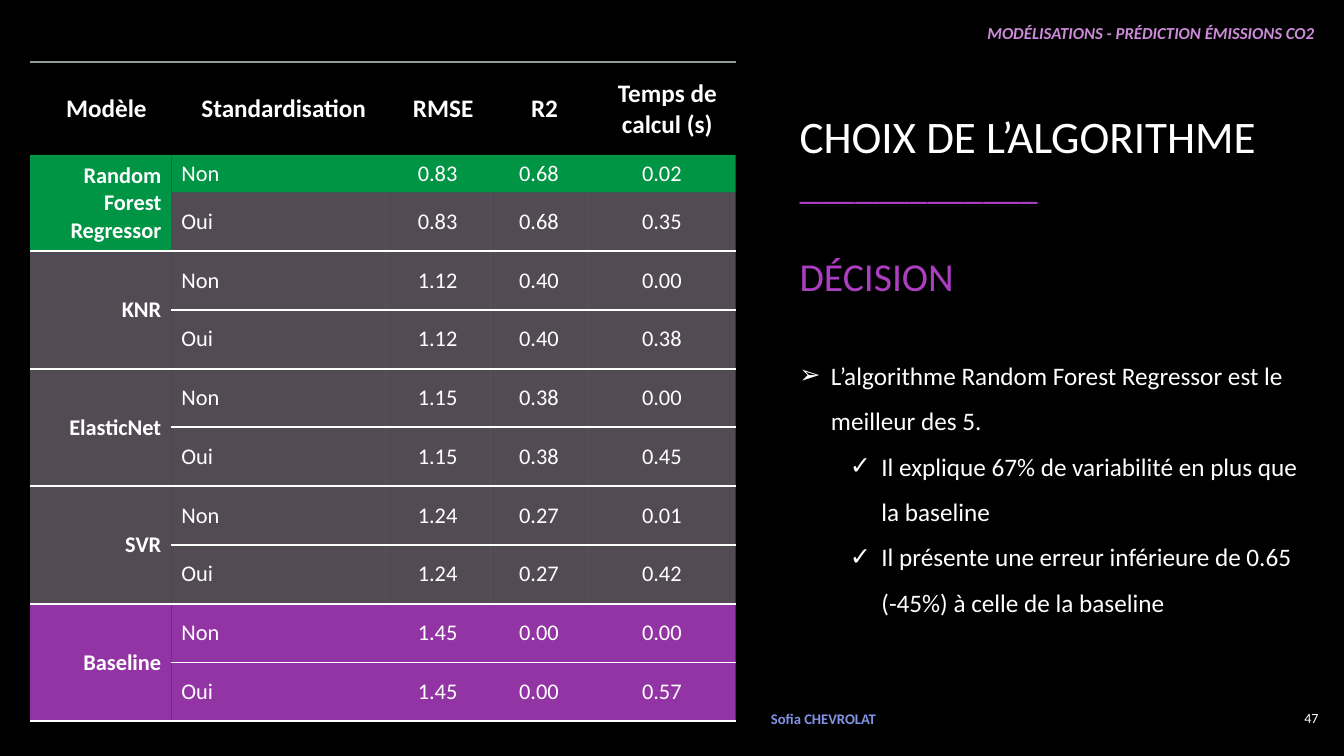
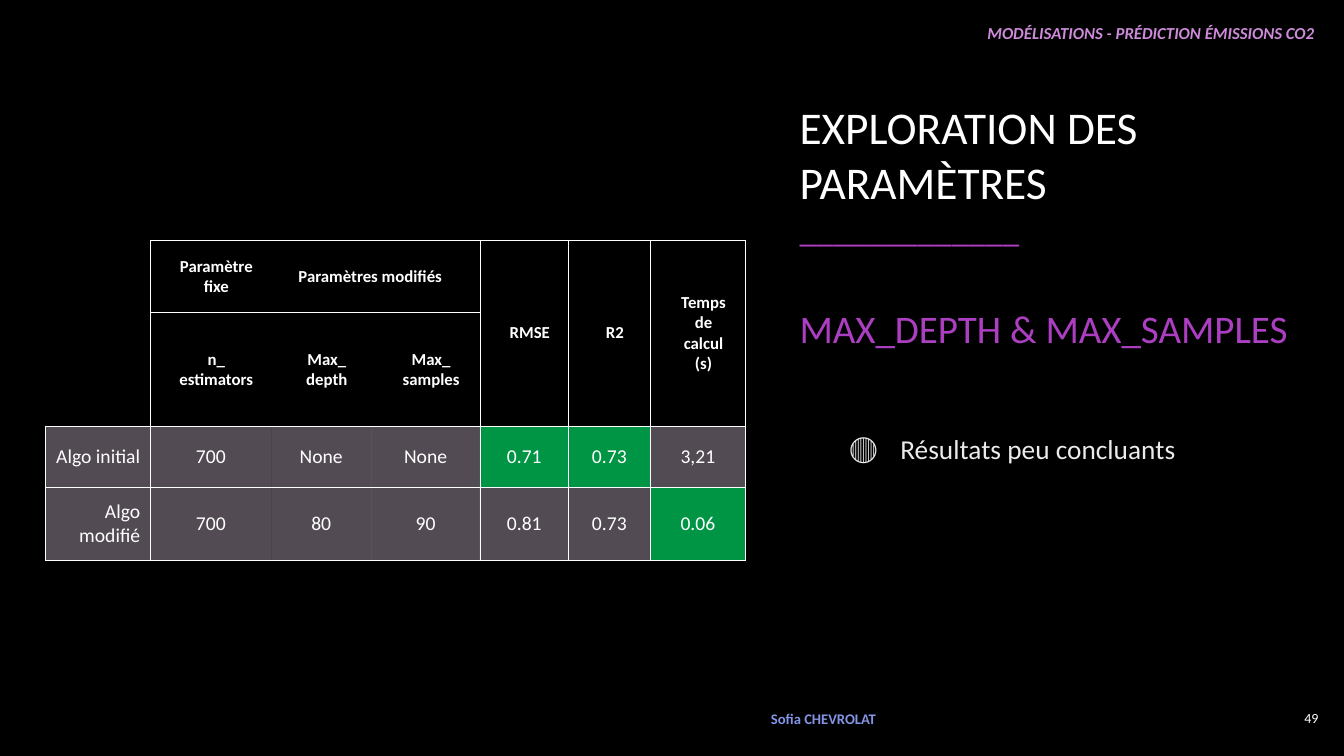
from lxml import etree
from pptx import Presentation
from pptx import util as u
from pptx.dml.color import RGBColor
from pptx.enum import text as t
from pptx.oxml.ns import qn

MODULE = 381000
COLUMNS, ROWS = 32, 18
FONT = "Calibri"
BLACK, WHITE, GREY = "000000", "FFFFFF", "8F9A9D"
PURPLE, LILAC, BLUE, OFF_WHITE = "AC3EC1", "CD8BDA", "8394E4", "EBEBEB"
PLAIN_FILL, GREEN_FILL, PURPLE_FILL = ("EED8F3", 35), ("00B050", 85), (PURPLE, 85)
PLAIN_TABLE = "{2D5ABB26-0587-4C30-8999-92F81FD0307C}"
LEFT, CENTER, RIGHT = t.PP_ALIGN.LEFT, t.PP_ALIGN.CENTER, t.PP_ALIGN.RIGHT
TOP, MIDDLE = t.MSO_ANCHOR.TOP, t.MSO_ANCHOR.MIDDLE
TEXT_LEFT = 18.8


def grid(modules):
    return u.Emu(round(modules * MODULE))


def rgb(color):
    return RGBColor.from_string(color)


def write(frame, content, size=18, color=WHITE, bold=False, italic=False, align=LEFT,
          spacing=None, before=None, bullet=None, indent=0, hanging=0, level=0):
    for line in content.split("\n"):
        paragraph = frame.add_paragraph() if frame.text else frame.paragraphs[0]
        paragraph.alignment = align
        paragraph.level = level
        if bullet:
            properties = paragraph._p.get_or_add_pPr()
            properties.set("marL", str(grid(indent)))
            properties.set("indent", str(-grid(hanging)))
            etree.SubElement(properties, qn("a:buFont")).set("typeface", FONT)
            etree.SubElement(properties, qn("a:buChar")).set("char", bullet)
        if spacing:
            paragraph.line_spacing = spacing
        if before:
            paragraph.space_before = u.Pt(before)
        run = paragraph.add_run()
        run.text = line
        font = run.font
        font.name, font.size, font.bold, font.italic = FONT, u.Pt(size), bold, italic
        font.color.rgb = rgb(color)


def add_text_area(slide, left, top, width, height, anchor=MIDDLE):
    box = slide.shapes.add_textbox(grid(left), grid(top), grid(width), grid(height))
    frame = box.text_frame
    frame.word_wrap = True
    frame.vertical_anchor = anchor
    return frame


def add_slide(presentation, number):
    slide = presentation.slides.add_slide(presentation.slide_layouts[6])
    write(add_text_area(slide, 18.4, 0.42, 13.14, 0.72, TOP),
          "MODÉLISATIONS - PRÉDICTION ÉMISSIONS CO2",
          size=12, color=LILAC, bold=True, italic=True, align=RIGHT)
    write(add_text_area(slide, 18.12, 16.6, 4.22, 1), "Sofia CHEVROLAT",
          size=10.5, color=BLUE, bold=True)
    write(add_text_area(slide, 30.19, 16.6, 1.44, 1), number, size=10, align=RIGHT)
    return slide


def add_title(slide, title, subtitle, height, title_size, rule_size, subtitle_size, gap):
    frame = add_text_area(slide, TEXT_LEFT, 2.16, 12.74, height)
    write(frame, title, size=title_size)
    write(frame, "_" * 13, size=rule_size, color=PURPLE)
    write(frame, subtitle, size=subtitle_size, color=PURPLE, before=gap)


def add_table(slide, left, top, widths, heights):
    shape = slide.shapes.add_table(len(heights), len(widths), grid(left), grid(top),
                                   grid(sum(widths)), grid(sum(heights)))
    shape.element.find(".//" + qn("a:tableStyleId")).text = PLAIN_TABLE
    table = shape.table
    table.first_row = table.horz_banding = False
    for column, width in zip(table.columns, widths):
        column.width = grid(width)
    for row, height in zip(table.rows, heights):
        row.height = grid(height)
    return table


def fill_cell(cell, content, fill=None, **style):
    cell.vertical_anchor = MIDDLE
    write(cell.text_frame, content, **style)
    if fill:
        color, opacity = fill
        cell.fill.solid()
        cell.fill.fore_color.rgb = rgb(color)
        color_node = cell._tc.tcPr.find(".//" + qn("a:srgbClr"))
        etree.SubElement(color_node, qn("a:alpha")).set("val", str(opacity * 1000))


def fill_header(cell, content, size, align=CENTER):
    cell.margin_left = u.Inches(0.27)
    cell.margin_right = cell.margin_top = cell.margin_bottom = u.Inches(0.16)
    fill_cell(cell, content, size=size, bold=True, align=align)


def set_borders(cell, borders):
    properties = cell._tc.get_or_add_tcPr()
    sides = [side for side in "LRTB" if side in borders]
    for position, side in enumerate(sides):
        color, width = borders[side]
        line = etree.Element(qn("a:ln" + side), w=str(u.Pt(width)))
        if width:
            solid = etree.SubElement(line, qn("a:solidFill"))
            etree.SubElement(solid, qn("a:srgbClr")).set("val", color)
        else:
            etree.SubElement(line, qn("a:noFill"))
        properties.insert(position, line)


def add_model_table(slide):
    headers = ["Modèle", "Standardisation", "RMSE", "R2", "Temps de calcul (s)"]
    models = [
        ("Random Forest Regressor", "0.83", "0.68", ("0.02", "0.35")),
        ("KNR", "1.12", "0.40", ("0.00", "0.38")),
        ("ElasticNet", "1.15", "0.38", ("0.00", "0.45")),
        ("SVR", "1.24", "0.27", ("0.01", "0.42")),
        ("Baseline", "1.45", "0.00", ("0.00", "0.57")),
    ]
    table = add_table(slide, 0.72, 1.48, [3.36, 5.09, 2.5, 2.33, 3.52],
                      [2.21, 0.89] + [1.4] * 9)
    for column, header in enumerate(headers):
        cell = table.cell(0, column)
        fill_header(cell, header, 18)
        set_borders(cell, {"T": (GREY, 1.5)})
    for index, (model, rmse, r2, times) in enumerate(models):
        first = 1 + 2 * index
        base = PURPLE_FILL if model == "Baseline" else PLAIN_FILL
        best = GREEN_FILL if index == 0 else base
        name = table.cell(first, 0)
        name.merge(table.cell(first + 1, 0))
        fill_cell(name, model, best, size=16, bold=True, align=RIGHT)
        for offset, (scaled, time) in enumerate(zip(("Non", "Oui"), times)):
            row = first + offset
            for column, value in enumerate((scaled, rmse, r2, time), 1):
                fill_cell(table.cell(row, column), value, base if offset else best,
                          size=16, align=LEFT if column == 1 else CENTER)
            for column in range(len(headers)):
                cell = table.cell(row, column)
                borders = {}
                if row > 1 or column == 0:
                    borders["B"] = (WHITE, 1.5)
                if row > 2 and not cell.is_spanned:
                    borders["T"] = (WHITE, 1.5)
                set_borders(cell, borders)


def parameter_borders(row, column):
    if row < 2 and column == 0:
        widths = {"L": 0, "R": 0.75, "T": 0, "B": 1 if row else 0}
    else:
        widths = {
            "L": 0 if column in (2, 3) else 0.75,
            "R": 0 if column in (1, 2) and (row, column) != (0, 2) else 0.75,
            "T": 1 if row == 2 else 0.75,
            "B": 1 if row == 1 else 0.75,
        }
    return {side: (WHITE, width) for side, width in widths.items()}


def add_parameter_table(slide):
    widths = [2.5, 2.88, 2.38, 2.59, 2.11, 1.94, 2.28]
    heights = [1.73, 2.7, 1.46, 1.73]
    results = [
        ["Algo initial", "700", "None", "None", "0.71", "0.73", "3,21"],
        ["Algo modifié", "700", "80", "90", "0.81", "0.73", "0.06"],
    ]
    best = {(2, 4), (2, 5), (3, 6)}
    table = add_table(slide, 1.08, 5.72, widths, heights)
    table.cell(0, 2).merge(table.cell(0, 3))
    fill_header(table.cell(0, 1), "Paramètre fixe", 12)
    fill_header(table.cell(0, 2), "Paramètres modifiés", 12, LEFT)
    for column, header in enumerate(["RMSE", "R2", "Temps de calcul (s)"], 4):
        table.cell(0, column).merge(table.cell(1, column))
        fill_header(table.cell(0, column), header, 12)
    for column, header in enumerate(["n_\nestimators", "Max_\ndepth", "Max_\nsamples"], 1):
        fill_header(table.cell(1, column), header, 12)
    for row, values in enumerate(results, 2):
        for column, value in enumerate(values):
            fill_cell(table.cell(row, column), value,
                      GREEN_FILL if (row, column) in best else PLAIN_FILL,
                      size=14, align=CENTER if column else RIGHT)
    for row in range(len(heights)):
        for column in range(len(widths)):
            cell = table.cell(row, column)
            if not cell.is_spanned:
                set_borders(cell, parameter_borders(row, column))


def add_choice_slide(presentation):
    slide = add_slide(presentation, "47")
    add_model_table(slide)
    add_title(slide, "CHOIX DE L’ALGORITHME", "DÉCISION", 5.38, 32.2, 26.3, 28.3, 32)
    frame = add_text_area(slide, TEXT_LEFT, 8.1, 12.55, 6.67, TOP)
    write(frame, "L’algorithme Random Forest Regressor est le meilleur des 5.",
          spacing=1.5, bullet="➢", indent=0.75, hanging=0.75)
    for reason in ("Il explique 67% de variabilité en plus que la baseline",
                   "Il présente une erreur inférieure de 0.65 (-45%) à celle de la baseline"):
        write(frame, reason, spacing=1.5, bullet="✓", indent=1.95, hanging=0.75, level=1)


def add_exploration_slide(presentation):
    slide = add_slide(presentation, "49")
    add_parameter_table(slide)
    add_title(slide, "EXPLORATION DES PARAMÈTRES", "MAX_DEPTH & MAX_SAMPLES",
              6.4, 32.4, 24.3, 27.9, 39.5)
    write(add_text_area(slide, TEXT_LEFT, 9, 12.12, 3.38), "Résultats peu concluants",
          size=19.5, color=OFF_WHITE, bullet="🔴", indent=2.4, hanging=1.2, level=1)


def main():
    presentation = Presentation()
    presentation.slide_width = grid(COLUMNS)
    presentation.slide_height = grid(ROWS)
    background = presentation.slide_master.background.fill
    background.solid()
    background.fore_color.rgb = rgb(BLACK)
    add_choice_slide(presentation)
    add_exploration_slide(presentation)
    presentation.save("out.pptx")


if __name__ == "__main__":
    main()
